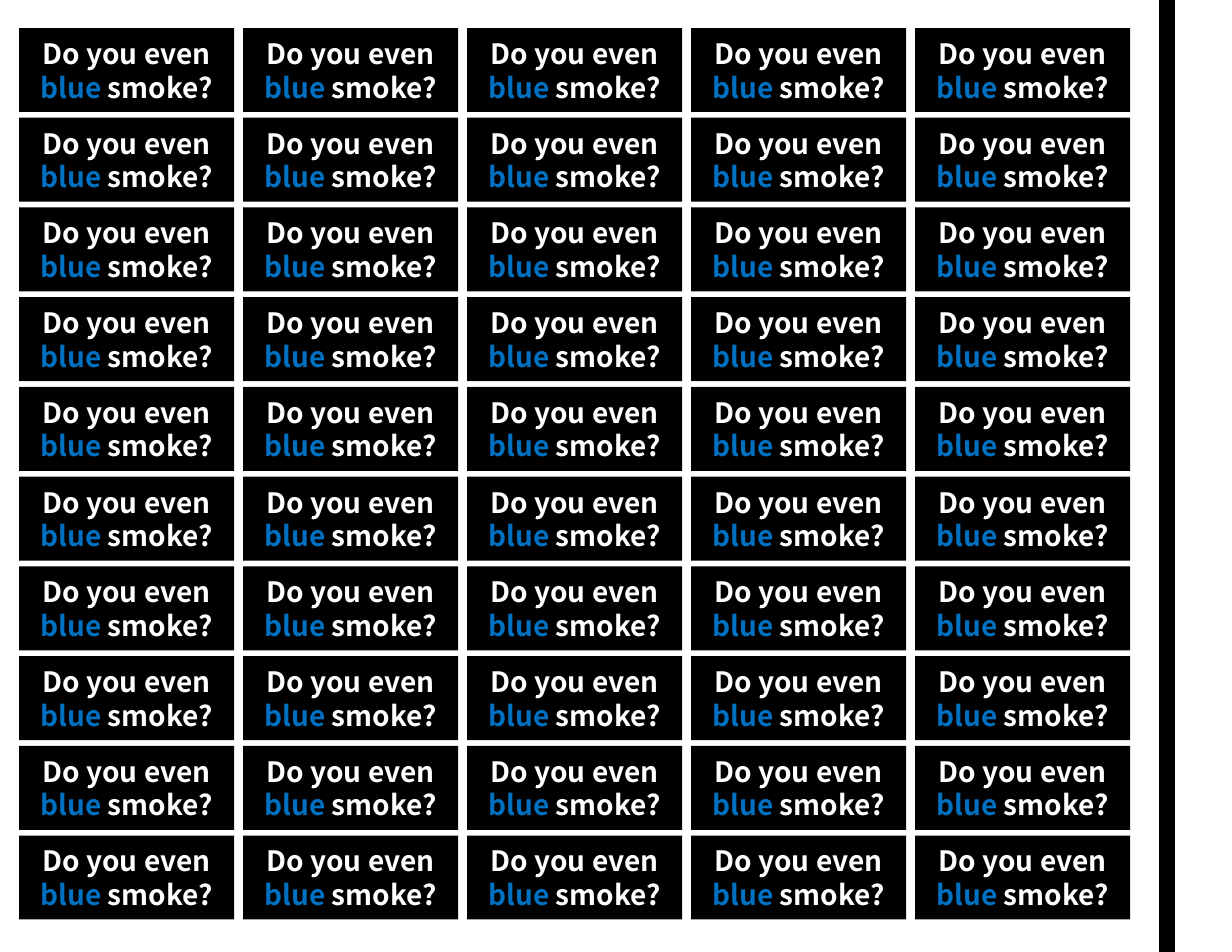
from itertools import product

from lxml.etree import SubElement
from pptx import Presentation
from pptx.dml.color import RGBColor
from pptx.enum.shapes import MSO_CONNECTOR, MSO_SHAPE
from pptx.enum.text import MSO_ANCHOR, PP_ALIGN
from pptx.oxml.ns import qn
from pptx.util import Inches, Pt

FONT = "Noto Sans CJK JP"
BLACK, WHITE, BLUE = "000000", "FFFFFF", "0070C0"
COLUMNS, ROWS = 5, 10
LABEL_WIDTH, LABEL_HEIGHT = 1.92, 0.75
LEFT, COLUMN_PITCH = 0.17, 2
FIRST_TOP, LAST_TOP = 0.25, 7.46
SLOGAN = [[("Do you even", WHITE)], [("blue ", BLUE), ("smoke?", WHITE)]]


def color(value):
    """Turn a hex string into a colour."""
    return RGBColor.from_string(value)


def add_text(paragraph, text, *, fill=WHITE, size=18, bold=True):
    """Add one formatted run to a paragraph."""
    run = paragraph.add_run()
    run.text = text
    run.font.name = FONT
    run.font.size = Pt(size)
    run.font.bold = bold
    run.font.color.rgb = color(fill)


def add_label(slide, left, top):
    """Add a black label with the two-line slogan."""
    shape = slide.shapes.add_shape(
        MSO_SHAPE.RECTANGLE, Inches(left), Inches(top),
        Inches(LABEL_WIDTH), Inches(LABEL_HEIGHT))
    shape.shadow.inherit = False
    shape.fill.solid()
    shape.fill.fore_color.rgb = color(BLACK)
    shape.line.fill.background()
    frame = shape.text_frame
    frame.word_wrap = True
    frame.vertical_anchor = MSO_ANCHOR.MIDDLE
    for index, line in enumerate(SLOGAN):
        paragraph = frame.add_paragraph() if index else frame.paragraphs[0]
        paragraph.alignment = PP_ALIGN.CENTER
        for text, fill in line:
            add_text(paragraph, text, fill=fill)


def add_vertical_line(slide, left, bottom, width):
    """Add a black line from the top edge down to bottom."""
    connector = slide.shapes.add_connector(
        MSO_CONNECTOR.STRAIGHT, Inches(left), Inches(0), Inches(left), Inches(bottom))
    connector.line.color.rgb = color(BLACK)
    connector.line.width = Pt(width)
    SubElement(connector._element.spPr, qn("a:effectLst"))


def main():
    """Build the sheet of labels and save it."""
    presentation = Presentation()
    presentation.slide_width = Inches(11)
    presentation.slide_height = Inches(8.5)
    slide = presentation.slides.add_slide(presentation.slide_layouts[6])
    row_pitch = (LAST_TOP - FIRST_TOP) / (ROWS - 1)
    for column, row in product(range(COLUMNS), range(ROWS)):
        add_label(slide, LEFT + column * COLUMN_PITCH, FIRST_TOP + row * row_pitch)
    add_vertical_line(slide, 10.42, 8.5, 9.75)
    presentation.save("out.pptx")


main()
